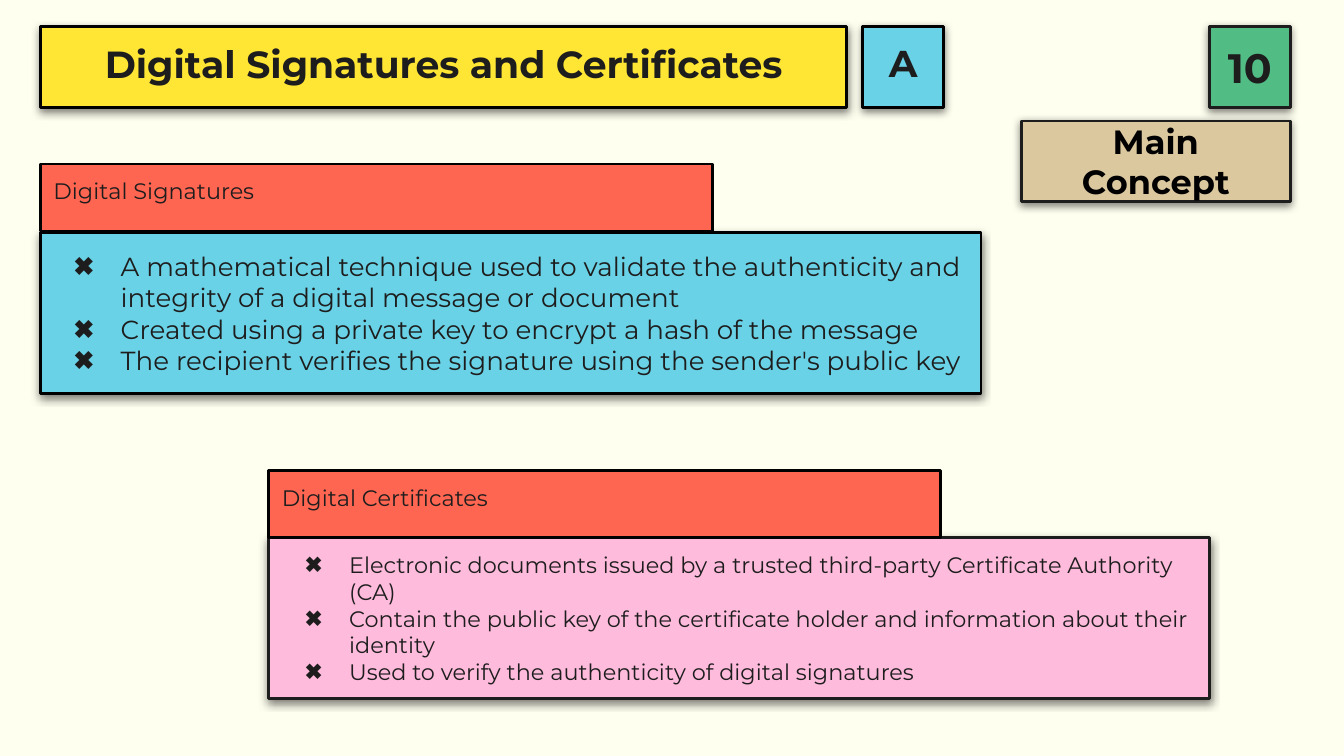
"""Build the slide on digital signatures and certificates."""
from lxml.etree import SubElement
from pptx import Presentation
from pptx.dml.color import RGBColor
from pptx.enum.shapes import MSO_SHAPE
from pptx.enum.text import MSO_ANCHOR, PP_ALIGN
from pptx.oxml import parse_xml
from pptx.oxml.ns import nsdecls, qn
from pptx.util import Inches, Pt

CELL = Inches(0.1)
INK, BLACK = "1D1D1D", "000000"
RED, BLUE, PINK = "FF6652", "6AD2E6", "FFBBDC"
SHADOW = (
    f'<a:effectLst {nsdecls("a")}><a:outerShdw blurRad="{Pt(4.5)}" dist="{Pt(1.5)}" '
    'dir="5400000" algn="bl" rotWithShape="0"><a:srgbClr val="000000">'
    '<a:alpha val="50000"/></a:srgbClr></a:outerShdw></a:effectLst>'
)


def color(code):
    return RGBColor.from_string(code)


def add_card(place, fill, border, lines, size, ink=INK, bold=False, align=PP_ALIGN.LEFT,
             anchor=MSO_ANCHOR.MIDDLE, spacing=None, hanging=None, raised=True):
    card = slide.shapes.add_shape(MSO_SHAPE.RECTANGLE, *(round(cells * CELL) for cells in place))
    card.fill.solid()
    card.fill.fore_color.rgb = color(fill)
    card.line.color.rgb = color(border)
    card.line.width = Pt(1.5)
    card.shadow.inherit = False
    if raised:
        properties = card._element.spPr
        properties.replace(properties.find(qn("a:effectLst")), parse_xml(SHADOW))
    frame = card.text_frame
    frame.word_wrap = True
    frame.vertical_anchor = anchor
    frame.margin_left = frame.margin_right = frame.margin_top = frame.margin_bottom = CELL
    frame.text = "\n".join(lines)
    for paragraph in frame.paragraphs:
        paragraph.alignment = align
        if spacing:
            paragraph.line_spacing = spacing
        if hanging:
            indent = paragraph._p.get_or_add_pPr()
            indent.set("marL", str(Inches(0.5)))
            indent.set("indent", str(-Inches(hanging)))
            SubElement(SubElement(indent, qn("a:buClr")), qn("a:srgbClr"), val=INK)
            SubElement(indent, qn("a:buFont"), typeface="Montserrat")
            SubElement(indent, qn("a:buChar"), char="✖")
        paragraph.font.name = "Montserrat"
        paragraph.font.size = Pt(size)
        paragraph.font.bold = bold
        paragraph.font.color.rgb = color(ink)


deck = Presentation()
deck.slide_width, deck.slide_height = 100 * CELL, 100 * CELL * 9 // 16
slide = deck.slides.add_slide(deck.slide_layouts[6])
slide.background.fill.solid()
slide.background.fill.fore_color.rgb = color("FFFFF0")

badges = [
    ((90, 2, 6, 6), "51BD85", INK, "10", 22, INK, None),
    ((3, 2, 60, 6), "FFE534", BLACK, "Digital Signatures and Certificates", 20.2, INK, 0.8),
    ((64.2, 2, 6, 6), BLUE, BLACK, "A", 20, INK, 0.8),
    ((76, 9, 20, 6), "DBC89F", INK, "Main Concept", 18, BLACK, None),
]
for place, fill, border, label, size, ink, spacing in badges:
    add_card(place, fill, border, [label], size, ink, bold=True,
             align=PP_ALIGN.CENTER, spacing=spacing)

topics = [
    ("Digital Signatures", 3, 12.2, 17.3, BLUE, BLACK, 14, 0.35, [
        "A mathematical technique used to validate the authenticity and integrity "
        "of a digital message or document",
        "Created using a private key to encrypt a hash of the message",
        "The recipient verifies the signature using the sender's public key",
    ]),
    ("Digital Certificates", 20, 35, 40, PINK, INK, 12, 0.33, [
        "Electronic documents issued by a trusted third-party Certificate Authority (CA)",
        "Contain the public key of the certificate holder and information about their identity",
        "Used to verify the authenticity of digital signatures",
    ]),
]
for heading, column, heading_row, points_row, fill, border, size, hanging, points in topics:
    add_card((column, points_row, 70, 12), fill, border, points, size, hanging=hanging)
    add_card((column, heading_row, 50, 5), RED, BLACK, [heading], 12,
             anchor=MSO_ANCHOR.TOP, raised=False)

deck.save("out.pptx")
